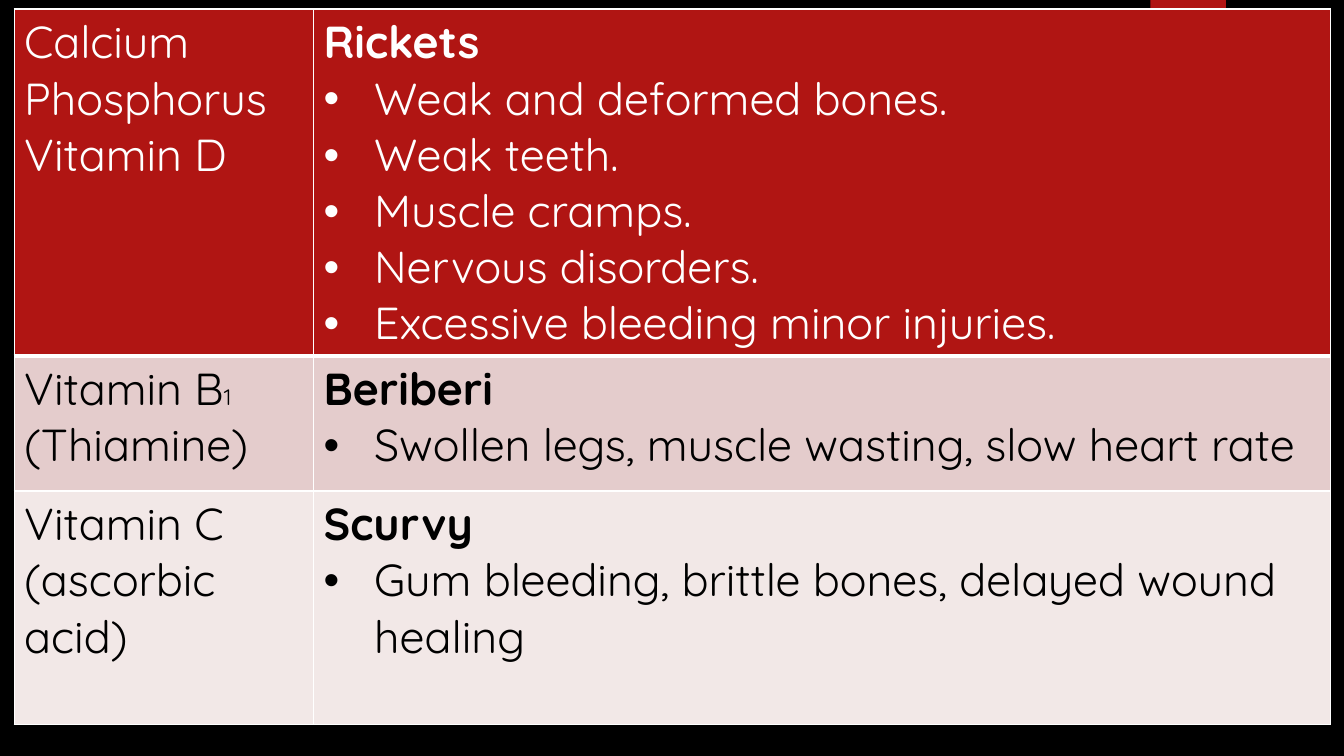
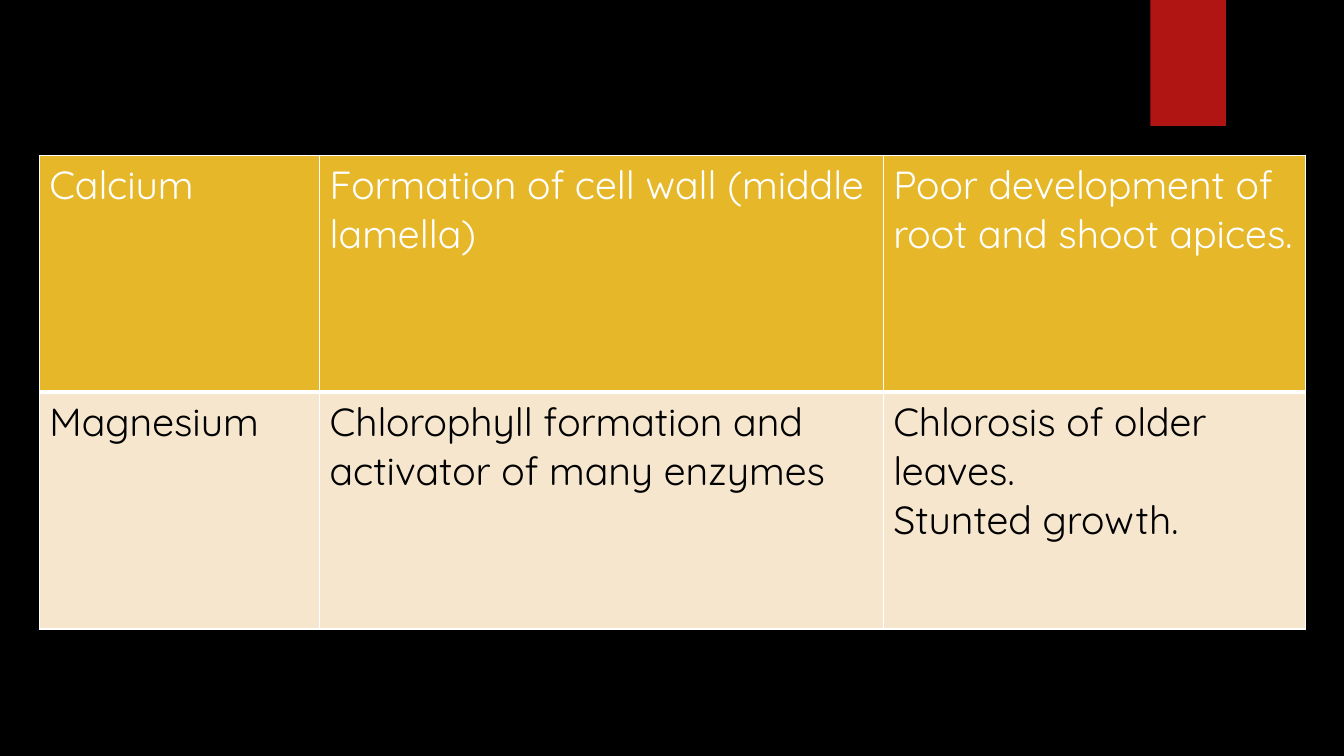
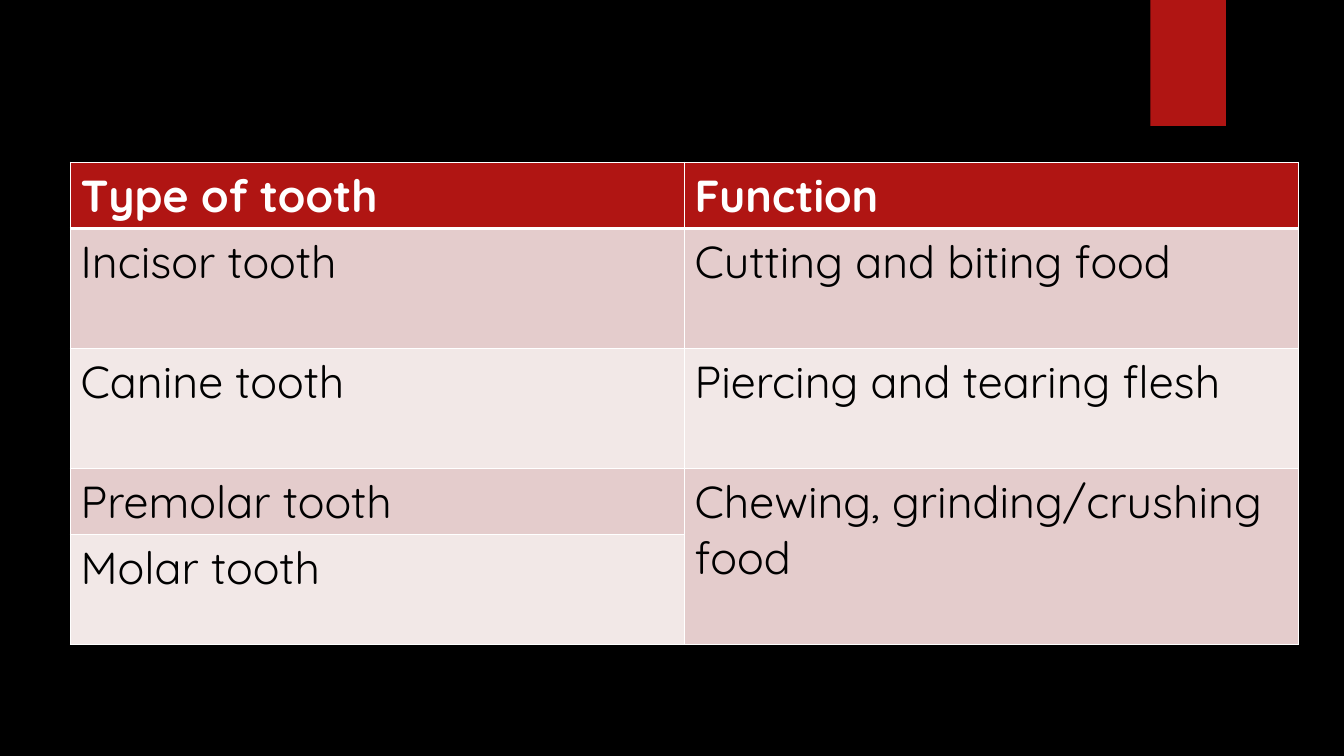
from itertools import product
from typing import NamedTuple

from lxml import etree
from pptx import Presentation
from pptx.dml.color import RGBColor
from pptx.enum.shapes import MSO_SHAPE as Shape
from pptx.oxml import parse_xml
from pptx.oxml.ns import nsdecls, qn
from pptx.util import Inches, Pt

BLACK = RGBColor(0x00, 0x00, 0x00)
WHITE = RGBColor(0xFF, 0xFF, 0xFF)
RED = RGBColor(0xB0, 0x15, 0x13)
ROSE = RGBColor(0xE4, 0xCC, 0xCC)
PALE_ROSE = RGBColor(0xF2, 0xE8, 0xE7)
GOLD = RGBColor(0xE6, 0xB7, 0x29)
CREAM = RGBColor(0xF5, 0xE6, 0xCD)
TEAL = RGBColor(0x50, 0xB9, 0xC1)

RED_ROWS = (RED, ROSE, PALE_ROSE)
GOLD_ROWS = (GOLD, CREAM)


class Line(NamedTuple):
    text: str
    bold: bool = False
    bullet: bool = False
    small_tail: str = ""


def disease(name, *symptoms):
    """A bold heading followed by bulleted symptoms."""
    return [Line(name, bold=True)] + [Line(text, bullet=True) for text in symptoms]


class Deck:
    """Holds the shared style and the slide being built."""

    font = "Quicksand"
    thin, thick = 1, 3
    small_size = 16

    def __init__(self):
        self.deck = Presentation()
        self.deck.slide_width = Inches(13.33)
        self.deck.slide_height = Inches(7.5)
        background = self.deck.slide_master.background.fill
        background.solid()
        background.fore_color.rgb = BLACK

    def add_page(self):
        self.page = self.deck.slides.add_slide(self.deck.slide_layouts[6])
        self.add_glow()
        self.add_shape(Shape.RECTANGLE, 11.41, 0, 0.75, 1.25, RED)

    def add_shape(self, kind, left, top, width, height, color):
        shape = self.page.shapes.add_shape(
            kind, Inches(left), Inches(top), Inches(width), Inches(height))
        shape.shadow.inherit = False
        shape.fill.solid()
        shape.fill.fore_color.rgb = color
        shape.line.fill.background()
        return shape

    def add_glow(self):
        """A faint circle that fades out from its centre."""
        glow = self.add_shape(Shape.OVAL, 9.41, 1.83, 3.08, 3.08, TEAL)
        stops = "".join(
            f'<a:gs pos="{place}000"><a:srgbClr val="{TEAL}">'
            f'<a:alpha val="{alpha}000"/></a:srgbClr></a:gs>'
            for place, alpha in ((0, 7), (36, 6), (69, 0)))
        gradient = parse_xml(
            f'<a:gradFill {nsdecls("a")}><a:gsLst>{stops}</a:gsLst>'
            '<a:path path="circle"><a:fillToRect l="50000" t="50000" '
            'r="50000" b="50000"/></a:path></a:gradFill>')
        properties = glow.element.spPr
        properties.replace(properties.find(qn("a:solidFill")), gradient)

    def add_table(self, left, top, widths, heights, rows, row_colors, size, merge=None):
        """Fill a table; the first colour is the header's, the rest alternate."""
        table = self.page.shapes.add_table(
            len(heights), len(widths), Inches(left), Inches(top),
            Inches(sum(widths)), Inches(sum(heights))).table
        for column, width in zip(table.columns, widths):
            column.width = Inches(width)
        for row, height in zip(table.rows, heights):
            row.height = Inches(height)
        if merge:
            first, last = merge
            table.cell(*first).merge(table.cell(*last))
        header, *bands = row_colors
        for row, column in product(range(len(heights)), range(len(widths))):
            cell = table.cell(row, column)
            cell.fill.solid()
            cell.fill.fore_color.rgb = bands[(row - 1) % len(bands)] if row else header
            self.set_borders(cell, row)
            if not cell.is_spanned:
                self.add_lines(cell.text_frame, rows[row][column], size,
                               BLACK if row else WHITE)

    def set_borders(self, cell, row):
        """White rules, with a thick one under the header row."""
        properties = cell._tc.get_or_add_tcPr()
        top = self.thick if row == 1 else self.thin
        bottom = self.thick if row == 0 else self.thin
        sides = (("L", self.thin), ("R", self.thin), ("T", top), ("B", bottom))
        for index, (side, points) in enumerate(sides):
            properties.insert(index, parse_xml(
                f'<a:ln{side} {nsdecls("a")} w="{Pt(points)}"><a:solidFill>'
                f'<a:srgbClr val="{WHITE}"/></a:solidFill></a:ln{side}>'))

    def add_lines(self, frame, lines, size, color):
        for index, line in enumerate(lines):
            para = frame.add_paragraph() if index else frame.paragraphs[0]
            line = Line(line) if isinstance(line, str) else line
            if line.bullet:
                self.add_bullet(para)
            self.add_span(para, line.text, size, color, line.bold)
            if line.small_tail:
                self.add_span(para, line.small_tail, self.small_size, color)

    def add_bullet(self, para):
        properties = para._p.get_or_add_pPr()
        properties.set("marL", str(Inches(0.5)))
        properties.set("indent", str(Inches(-0.5)))
        etree.SubElement(properties, qn("a:buFont"), typeface="Arial")
        etree.SubElement(properties, qn("a:buChar"), char="•")

    def add_span(self, para, text, size, color, bold=False):
        span = para.add_run()
        span.text = text
        span.font.name = self.font
        span.font.size = Pt(size)
        span.font.bold = bold
        span.font.color.rgb = color


def main():
    deck = Deck()

    deck.add_page()
    deck.add_table(0.14, 0.09, (2.97, 10.09), (3.43, 1.34, 2.32), [
        (["Calcium", "Phosphorus", "Vitamin D"],
         disease("Rickets", "Weak and deformed bones.", "Weak teeth.",
                 "Muscle cramps.", "Nervous disorders.",
                 "Excessive bleeding minor injuries.")),
        ([Line("Vitamin B", small_tail="1"), "(Thiamine)"],
         disease("Beriberi", "Swollen legs, muscle wasting, slow heart rate")),
        (["Vitamin C", "(ascorbic acid)"],
         disease("Scurvy", "Gum bleeding, brittle bones, delayed wound healing")),
    ], RED_ROWS, 32)

    deck.add_page()
    deck.add_table(0.39, 1.54, (2.78, 5.59, 4.19), (2.35, 2.35), [
        (["Calcium"], ["Formation of cell wall (middle lamella)"],
         ["Poor development of root and shoot apices."]),
        (["Magnesium"], ["Chlorophyll formation and activator of many enzymes"],
         ["Chlorosis of older leaves.", "Stunted growth."]),
    ], GOLD_ROWS, 28)

    deck.add_page()
    deck.add_table(0.7, 1.61, (6.09, 6.09), (0.64, 1.19, 1.19, 0.64, 1.09), [
        ([Line("Type of tooth", bold=True)], [Line("Function", bold=True)]),
        (["Incisor tooth"], ["Cutting and biting food"]),
        (["Canine tooth"], ["Piercing and tearing flesh"]),
        (["Premolar tooth"], ["Chewing, grinding/crushing food"]),
        (["Molar tooth"],),
    ], RED_ROWS, 32, merge=((3, 1), (4, 1)))

    deck.deck.save("out.pptx")


if __name__ == "__main__":
    main()
